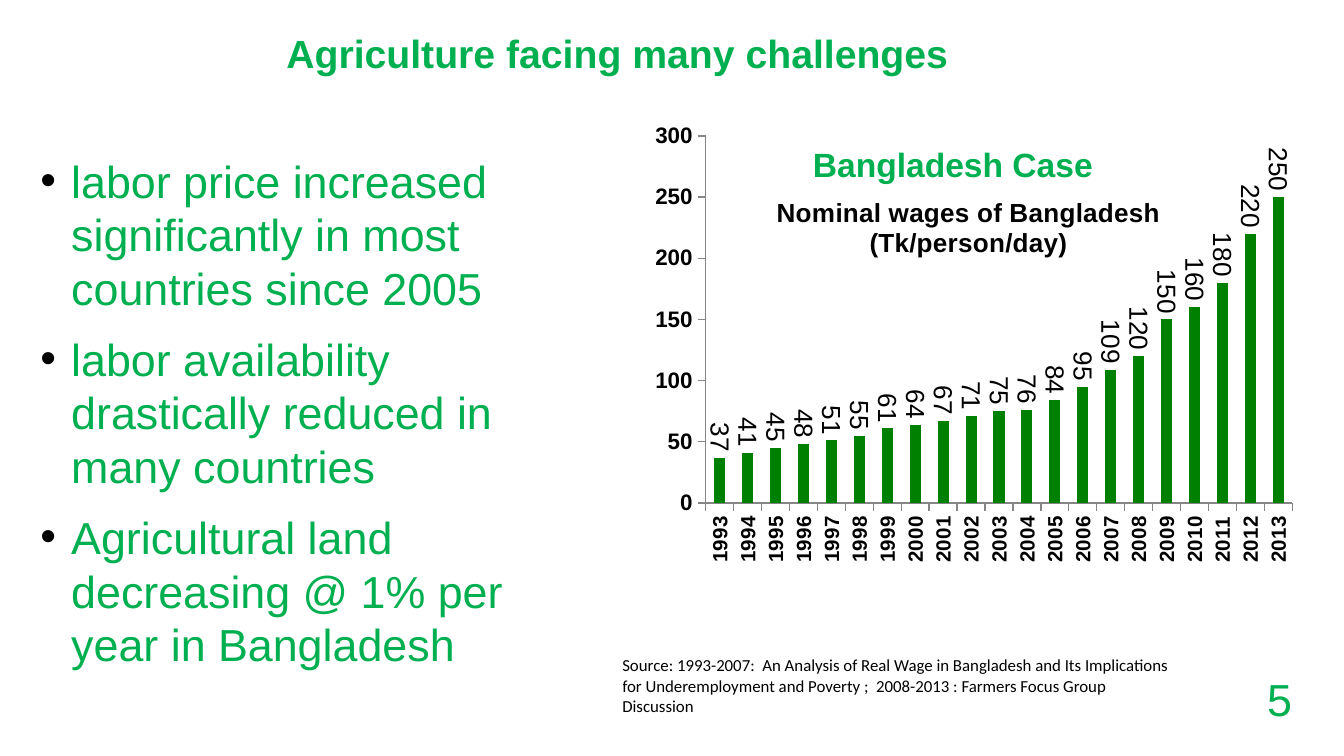
from collections import namedtuple
from dataclasses import dataclass

from lxml import etree
from pptx import Presentation
from pptx import util as u
from pptx.chart.data import CategoryChartData
from pptx.dml.color import RGBColor
from pptx.enum import chart as ch, text as tx
from pptx.oxml.ns import qn

Box = namedtuple("Box", "left top width height")


@dataclass(frozen=True)
class Theme:
    accent: str = "00B050"
    bar: str = "008000"
    ink: str = "000000"
    axis: str = "868686"
    face: str = "Arial"
    source_face: str = "Calibri"
    title: int = 21
    body: int = 24
    case: int = 18
    chart_title: int = 14
    value_axis: int = 12
    year_axis: int = 11
    base: int = 10
    source: int = 9


THEME = Theme()
YEARS = [str(year) for year in range(1993, 2014)]
WAGES = [37, 41, 45, 48, 51, 55, 61, 64, 67, 71, 75, 76, 84, 95, 109,
         120, 150, 160, 180, 220, 250]
CHALLENGES = [
    "labor price increased significantly in most countries since 2005",
    "labor availability drastically reduced in many countries",
    "Agricultural land decreasing @ 1% per year in Bangladesh",
]
SOURCE = ("Source: 1993-2007:  An Analysis of Real Wage in Bangladesh and Its "
          "Implications for Underemployment and Poverty ;  2008-2013 : "
          "Farmers Focus Group Discussion")


def assign(target, values):
    for name, value in values.items():
        setattr(target, name, value)


def inches(box):
    return [u.Inches(length) for length in box]


def place(shape, box):
    assign(shape, dict(zip(Box._fields, inches(box))))


def style(font, size, color=THEME.accent, bold=False, face=THEME.face):
    assign(font, {"size": u.Pt(size), "bold": bold, "name": face})
    font.color.rgb = RGBColor.from_string(color)


def add_child(parent, tag, **attributes):
    return etree.SubElement(parent, qn(tag), attributes)


def rotate_text(element, degrees):
    body = next(element.iter(qn("a:bodyPr")))
    body.set("rot", str(degrees * 60000))
    body.set("vert", "horz")


def set_layout(layout, **values):
    manual = add_child(layout, "c:manualLayout")
    for name, value in values.items():
        add_child(manual, f"c:{name}", val=str(value))


def add_title(slide, box):
    title = slide.shapes.title
    place(title, box)
    frame = title.text_frame
    assign(frame, {"margin_left": 0, "margin_right": 0, "margin_top": 0,
                   "margin_bottom": 0, "word_wrap": True,
                   "vertical_anchor": tx.MSO_ANCHOR.TOP,
                   "auto_size": tx.MSO_AUTO_SIZE.NONE})
    frame.text = "Agriculture facing many challenges"
    heading = frame.paragraphs[0]
    heading.alignment = tx.PP_ALIGN.LEFT
    heading._p.get_or_add_pPr().set("marL", str(u.Inches(0.09)))
    style(heading.runs[0].font, THEME.title, bold=True)


def add_challenges(slide, box):
    body = slide.placeholders[1]
    place(body, box)
    frame = body.text_frame
    frame.auto_size = tx.MSO_AUTO_SIZE.NONE
    frame.text = "\n".join(CHALLENGES)
    for challenge in frame.paragraphs:
        assign(challenge, {"space_before": u.Pt(4.5), "space_after": u.Pt(4.5)})
        props = challenge._p.get_or_add_pPr()
        props.set("marL", str(u.Inches(0.23)))
        props.set("indent", str(-u.Inches(0.23)))
        bullet_color = add_child(props, "a:buClr")
        add_child(bullet_color, "a:srgbClr", val=THEME.ink)
        add_child(props, "a:buFont", typeface=THEME.face)
        add_child(props, "a:buChar", char="•")
        style(challenge.runs[0].font, THEME.body)


def add_label(slide, box, wording, size, bold=False, wrap=True):
    frame = slide.shapes.add_textbox(*inches(box)).text_frame
    frame.word_wrap = wrap
    frame.text = wording
    style(frame.paragraphs[0].runs[0].font, size, bold=bold)


def format_axis(axis, size):
    assign(axis, {"has_major_gridlines": False,
                  "major_tick_mark": ch.XL_TICK_MARK.OUTSIDE,
                  "minor_tick_mark": ch.XL_TICK_MARK.NONE})
    axis.format.line.color.rgb = RGBColor.from_string(THEME.axis)
    axis.format.line.width = u.Pt(0.75)
    style(axis.tick_labels.font, size, THEME.ink, bold=True)


def add_wage_chart(slide, box):
    wages = CategoryChartData()
    wages.categories = YEARS
    wages.add_series("Series 1", WAGES)
    chart = slide.shapes.add_chart(
        ch.XL_CHART_TYPE.COLUMN_CLUSTERED, *inches(box), wages).chart
    style(chart.font, THEME.base, THEME.ink)
    chart.has_legend = False

    heading = chart.chart_title
    heading.text_frame.text = "Nominal wages of Bangladesh (Tk/person/day)"
    style(heading.text_frame.paragraphs[0].runs[0].font,
          THEME.chart_title, THEME.ink, bold=True)
    title = heading._element
    set_layout(title.find(qn("c:layout")), xMode="edge", yMode="edge", x=0.15, y=0.14)
    title.find(qn("c:overlay")).set("val", "1")

    plot_area = chart._chartSpace.chart.plotArea
    layout = plot_area.find(qn("c:layout"))
    if layout is None:
        layout = add_child(plot_area, "c:layout")
        plot_area.insert(0, layout)
    set_layout(layout, layoutTarget="inner", xMode="edge", yMode="edge",
               x=0.11, y=0.03, w=0.91, h=0.73)

    format_axis(chart.category_axis, THEME.year_axis)
    rotate_text(chart.category_axis._element, -90)
    format_axis(chart.value_axis, THEME.value_axis)
    assign(chart.value_axis, {"minimum_scale": 0, "maximum_scale": 300,
                              "major_unit": 50})

    plot = chart.plots[0]
    assign(plot, {"gap_width": 150, "vary_by_categories": False,
                  "has_data_labels": True})
    bars = plot.series[0].format.fill
    bars.solid()
    bars.fore_color.rgb = RGBColor.from_string(THEME.bar)
    labels = plot.data_labels
    assign(labels, {"show_value": True, "number_format": "#,##0",
                    "number_format_is_linked": False,
                    "position": ch.XL_LABEL_POSITION.OUTSIDE_END})
    style(labels.font, THEME.chart_title, THEME.ink)
    rotate_text(labels._element, 90)


def add_source(slide, box):
    table = slide.shapes.add_table(2, 2, *inches(box)).table
    assign(table, {"first_row": False, "horz_banding": False})
    indent = 0.24
    for column, width in zip(table.columns, (indent, box.width - indent)):
        column.width = u.Inches(width)
    for row, share in zip(table.rows, (0.75, 0.25)):
        row.height = u.Inches(box.height * share)
    for cell in table.iter_cells():
        assign(cell, {"margin_left": 0, "margin_right": 0, "margin_top": 0,
                      "margin_bottom": 0,
                      "vertical_anchor": tx.MSO_ANCHOR.BOTTOM})
        cell.fill.background()
        add_child(cell.text_frame.paragraphs[0]._p, "a:endParaRPr", sz="800")
    citation = table.cell(0, 0)
    citation.merge(table.cell(0, 1))
    citation.text_frame.text = SOURCE
    style(citation.text_frame.paragraphs[0].runs[0].font,
          THEME.source, THEME.ink, face=THEME.source_face)


def main():
    deck = Presentation()
    assign(deck, {"slide_width": u.Inches(10),
                  "slide_height": u.Inches(10 * 9 / 16)})
    slide = deck.slides.add_slide(deck.slide_layouts[1])
    add_wage_chart(slide, Box(4.82, 0.9, 4.8, 3.74))
    add_source(slide, Box(4.63, 4.88, 4.12, 0.6))
    add_challenges(slide, Box(0.2, 1.09, 4.27, 4.02))
    add_label(slide, Box(5.95, 1.02, 2.31, 0.4), "Bangladesh Case",
              THEME.case, bold=True, wrap=False)
    add_title(slide, Box(2.04, 0.22, 8.18, 0.68))
    add_label(slide, Box(9.33, 4.95, 0.83, 0.91), "5", THEME.body)
    deck.save("out.pptx")


if __name__ == "__main__":
    main()
